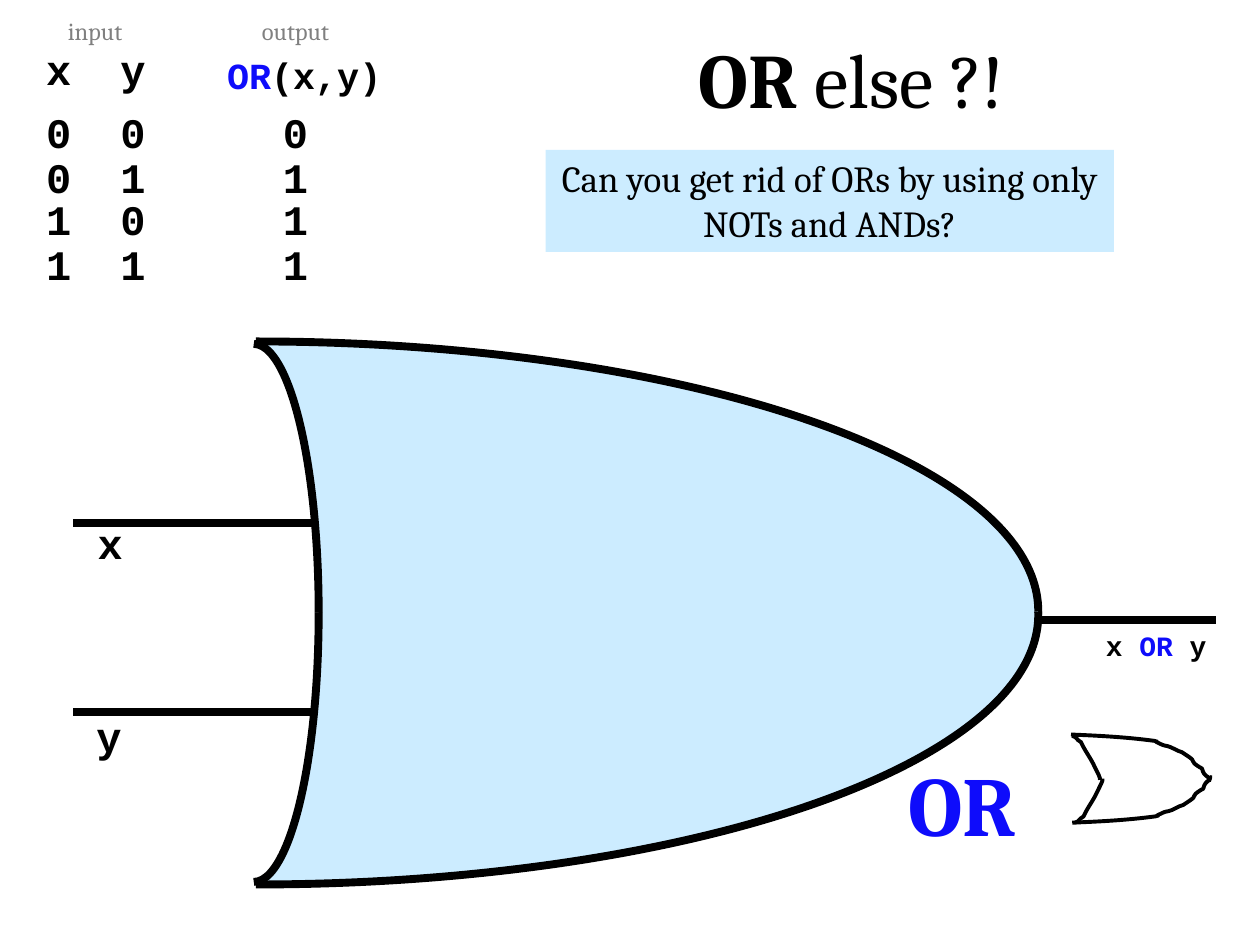
import pptx
import pptx.util
import pptx.dml.color
import pptx.enum.shapes
import pptx.enum.text
import pptx.oxml.ns
from lxml import etree

PX = 9144  # EMU per px, 100 px to the inch
SHAPES = pptx.enum.shapes.MSO_SHAPE
AUTO_SIZE = pptx.enum.text.MSO_AUTO_SIZE

BLACK = pptx.dml.color.RGBColor(0x00, 0x00, 0x00)
WHITE = pptx.dml.color.RGBColor(0xFF, 0xFF, 0xFF)
GREY = pptx.dml.color.RGBColor(0x80, 0x80, 0x80)
BLUE = pptx.dml.color.RGBColor(0x0E, 0x0C, 0xFB)
PALE = pptx.dml.color.RGBColor(0xCC, 0xEC, 0xFF)
SERIF, MONO = "Cambria", "Courier New"

# Content: a span is (text, colour, bold)
TITLE = [("OR", BLACK, True), (" else ?!", BLACK, False)]
QUESTION = [("Can you get rid of ORs by using only NOTs and ANDs?", BLACK, False)]
TRUTH_TABLE = [(0, 0, 0), (0, 1, 1), (1, 0, 1), (1, 1, 1)]
COLUMNS = [(17, 59), (74, 63), (203, 63)]  # left, width
FIRST_ROW, ROW_STEP, LETTER_HEIGHT = 80, 34.67, 50
HEADINGS = [("x", 17, 30, 59), ("y", 74, 30, 63)]
INPUT_NAMES = [("x", 58, 406, 59), ("y", 55, 559, 63)]
LABELS = [  # spans, place, font, size, wrap
    ([("OR", BLUE, True), ("(x,y)", BLACK, True)], (150, 37, 183, 45), MONO, 21, True),
    ([("input", GREY, False)], (43, 8, 65, 33), SERIF, 14, False),
    ([("output", GREY, False)], (195, 8, 79, 33), SERIF, 14, False),
    ([("x ", BLACK, True), ("OR ", BLUE, True), ("y", BLACK, True)],
     (855, 494, 125, 37), MONO, 16, True),
]
GATE_NAME = [("OR", BLUE, True)]
OUTPUT_WIRE = (827, 965, 492)  # from x, to x, y
INPUT_WIRES = [(58, 250, 415), (58, 249, 565)]
ARC_ANGLES = (162, 0.147)  # runs just past the middle, so the halves meet
GATE_PARTS = [  # shape, place, flipped, adjustments, fill, line colour, line width
    (SHAPES.ARC, (-418, 271, 1242, 428), False, ARC_ANGLES, PALE, BLACK, 4.5),
    (SHAPES.ARC, (-418, 274, 1242, 428), True, ARC_ANGLES, PALE, BLACK, 4.5),
    (SHAPES.ROUNDED_RECTANGLE, (253, 433, 305, 117), False, (), PALE, PALE, 1.5),
    (SHAPES.ARC, (150, 273, 103, 427), False, (), WHITE, BLACK, 4.5),
    (SHAPES.ARC, (150, 273, 103, 427), True, (), WHITE, BLACK, 4.5),
]
# Upper half of the small hand-drawn gate: a start, then Bezier triples
FRONT = [(850, 583), (873, 584), (893, 585), (916, 588),
         (923, 590), (913, 587), (920, 590), (926, 593), (924, 591), (929, 593),
         (932, 594), (934, 596), (938, 597), (939, 598), (939, 598), (941, 599),
         (942, 600), (943, 600), (944, 601), (948, 604), (945, 602), (948, 606),
         (949, 607), (952, 609), (954, 610), (955, 614), (956, 615), (959, 617),
         (960, 620), (959, 619), (961, 619)]
BACK = [(851, 584), (855, 585), (854, 587), (858, 589),
        (861, 596), (866, 602), (869, 609), (870, 611), (871, 613), (872, 615),
        (873, 616), (873, 619), (873, 619)]
HALVES = [(FRONT, 1, 1236), (BACK, 2, 1237)]  # mirror: x + shift, total - y


def scaled(place):
    return [round(length * PX) for length in place]


def write(box, spans, font=SERIF, size=24, wrap=True, auto_size=AUTO_SIZE.SHAPE_TO_FIT_TEXT):
    frame = box.text_frame
    frame.word_wrap = wrap
    frame.auto_size = auto_size
    frame.vertical_anchor = pptx.enum.text.MSO_ANCHOR.TOP
    para = frame.paragraphs[0]
    para.alignment = pptx.enum.text.PP_ALIGN.CENTER
    for text, colour, bold in spans:
        span = para.add_run()
        span.text = text
        span.font.name = font
        span.font.size = pptx.util.Pt(size)
        span.font.bold = bold
        span.font.color.rgb = colour


def add_label(page, spans, place, **style):
    write(page.shapes.add_textbox(*scaled(place)), spans, **style)


def add_letter(page, letter, left, top, width):
    add_label(page, [(letter, BLACK, True)], (left, top, width, LETTER_HEIGHT), font=MONO)


def add_block(owner, kind, place, flipped, adjustments, fill, line=None, width=0):
    block = owner.shapes.add_shape(kind, *scaled(place))
    block.shadow.inherit = False
    for index, value in enumerate(adjustments):
        block.adjustments[index] = value
    block.fill.solid()
    block.fill.fore_color.rgb = fill
    if line is None:
        block.line.fill.background()
    else:
        block.line.color.rgb = line
        block.line.width = pptx.util.Pt(width)
    if flipped:
        block._element.spPr.xfrm.set("flipV", "1")
    return block


def add_wire(page, start, end, y):
    wire = page.shapes.add_connector(
        pptx.enum.shapes.MSO_CONNECTOR.STRAIGHT, *scaled((start, y, end, y)))
    wire.line.color.rgb = BLACK
    wire.line.width = pptx.util.Pt(4.5)
    etree.SubElement(wire._element.spPr, pptx.oxml.ns.qn("a:effectLst"))


def add_curve(owner, points):
    builder = owner.shapes.build_freeform(*scaled(points[0]))
    builder.add_line_segments([scaled(point) for point in points[1:]], close=False)
    curve = builder.convert_to_shape()
    # Each three straight segments become one Bezier segment
    outline = next(curve._element.iter(pptx.oxml.ns.qn("a:path")))
    segments = outline.findall(pptx.oxml.ns.qn("a:lnTo"))
    for first in range(0, len(segments), 3):
        bezier = etree.SubElement(outline, pptx.oxml.ns.qn("a:cubicBezTo"))
        for segment in segments[first:first + 3]:
            bezier.append(segment[0])
            outline.remove(segment)
    curve.shadow.inherit = False
    curve.fill.background()
    curve.line.color.rgb = BLACK
    curve.line.width = pptx.util.Pt(2.25)


def main():
    deck = pptx.Presentation()
    deck.slide_width, deck.slide_height = scaled((1000, 750))
    page = deck.slides.add_slide(deck.slide_layouts[5])

    # Title and question
    title = page.shapes.title
    title.left, title.top, title.width, title.height = scaled((392, 20, 568, 84))
    write(title, TITLE, size=44, auto_size=AUTO_SIZE.NONE)
    question = add_block(page, SHAPES.RECTANGLE, (433, 119, 451, 81), False, (), PALE)
    write(question, QUESTION, size=21)
    add_wire(page, *OUTPUT_WIRE)

    # Truth table and labels
    for heading in HEADINGS:
        add_letter(page, *heading)
    for row, values in enumerate(TRUTH_TABLE):
        top = round(FIRST_ROW + row * ROW_STEP)
        for value, (left, width) in zip(values, COLUMNS):
            add_letter(page, str(value), left, top, width)
    for spans, place, font, size, wrap in LABELS:
        add_label(page, spans, place, font=font, size=size, wrap=wrap)

    # Large gate with its name and inputs
    gate = page.shapes.add_group_shape()
    for part in GATE_PARTS:
        add_block(gate, *part)
    add_label(page, GATE_NAME, (708, 592, 112, 91), size=48, wrap=False)
    for wire in INPUT_WIRES:
        add_wire(page, *wire)
    for name in INPUT_NAMES:
        add_letter(page, *name)

    # Small hand-drawn gate
    sketch = page.shapes.add_group_shape()
    for points, shift, total in HALVES:
        add_curve(sketch, points)
        add_curve(sketch, [(x + shift, total - y) for x, y in points])

    deck.save("out.pptx")


if __name__ == "__main__":
    main()
